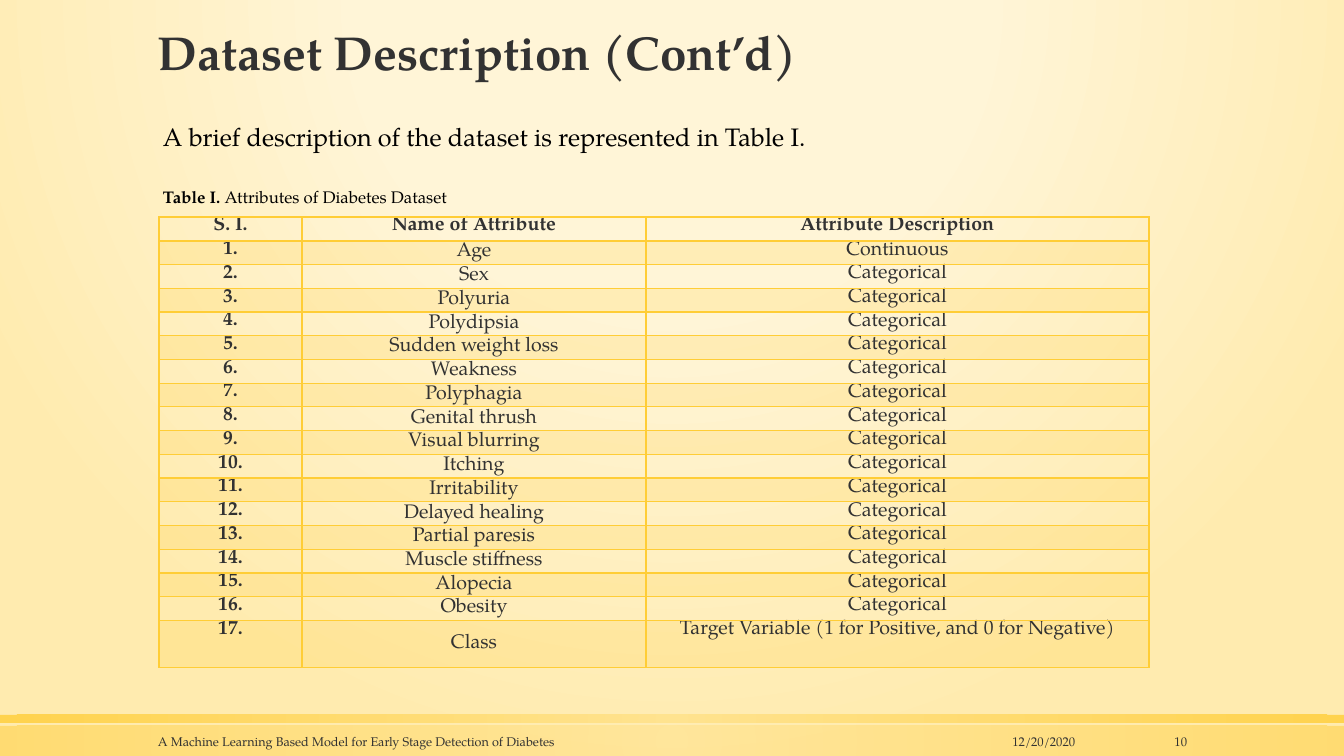
from collections import namedtuple
from dataclasses import dataclass

from pptx import Presentation
from pptx import util as u
from pptx.dml import color
from pptx.enum import shapes, text
from pptx.oxml import ns, parse_xml

Box = namedtuple("Box", "left top width height")


@dataclass(frozen=True)
class Theme:
    """Colours, font and type sizes of the slide."""
    font: str = "TeX Gyre Pagella"
    ink: str = "323232"
    black: str = "000000"
    gold: str = "FFCD36"
    pale_gold: str = "FFE186"
    cream: str = "FFF5D7"
    sand: str = "FFEBAF"
    title_size: int = 34
    body_size: int = 18
    table_size: int = 14
    caption_size: int = 12
    footer_size: int = 9


THEME = Theme()
ALIGN = text.PP_ALIGN
ANCHOR = text.MSO_ANCHOR
ATTRIBUTES = [
    "Age", "Sex", "Polyuria", "Polydipsia", "Sudden weight loss", "Weakness",
    "Polyphagia", "Genital thrush", "Visual blurring", "Itching",
    "Irritability", "Delayed healing", "Partial paresis", "Muscle stiffness",
    "Alopecia", "Obesity", "Class",
]
DESCRIPTIONS = (["Continuous"] + ["Categorical"] * 15
                + ["Target Variable (1 for Positive, and 0 for Negative)"])


def px(length):
    """Turn pixels into EMU."""
    return u.Emu(round(length * 914400 / 100.8))


def emu(box):
    """Turn a box in pixels into four EMU lengths."""
    return [px(length) for length in box]


def paint_gradient(owner, fill, stops, focus):
    """Give a fill a circular gradient of (place, colour, opacity) stops."""
    fill.gradient()
    gradient = owner.element.find(".//" + ns.qn("a:gradFill"))
    stop_xml = "".join(
        f'<a:gs pos="{place * 1000}"><a:srgbClr val="{tint}">'
        f'<a:alpha val="{opacity * 1000}"/></a:srgbClr></a:gs>'
        for place, tint, opacity in stops)
    sides = " ".join(f'{side}="{value * 1000}"' for side, value in zip("ltrb", focus))
    gradient.getparent().replace(gradient, parse_xml(
        f'<a:gradFill {ns.nsdecls("a")} rotWithShape="1"><a:gsLst>{stop_xml}</a:gsLst>'
        f'<a:path path="circle"><a:fillToRect {sides}/></a:path></a:gradFill>'))


def add_run(paragraph, words, size, tint=THEME.ink, bold=False):
    """Add one styled run."""
    run = paragraph.add_run()
    run.text = words
    run.font.name = THEME.font
    run.font.size = u.Pt(size)
    run.font.bold = bold
    run.font.color.rgb = color.RGBColor.from_string(tint)


def add_text_frame(slide, box, anchor):
    """Add a wrapping text box and return its frame."""
    frame = slide.shapes.add_textbox(*emu(box)).text_frame
    frame.word_wrap = True
    frame.vertical_anchor = anchor
    return frame


def add_background(slide):
    """Paint the glow behind the whole slide."""
    paint_gradient(slide, slide.background.fill,
                   [(0, THEME.cream, 59), (40, THEME.cream, 66), (100, THEME.sand, 100)],
                   (50, -80, 50, 180))


def add_title(slide, box):
    """Add the slide title."""
    paragraph = add_text_frame(slide, box, ANCHOR.BOTTOM).paragraphs[0]
    paragraph.line_spacing = 0.9
    add_run(paragraph, "Dataset Description (Cont’d)", THEME.title_size, bold=True)


def add_body(slide, box):
    """Add the introduction and the table caption."""
    frame = add_text_frame(slide, box, ANCHOR.TOP)
    introduction, caption = frame.paragraphs[0], frame.add_paragraph()
    for paragraph in (introduction, caption):
        paragraph.alignment = ALIGN.JUSTIFY
        paragraph.line_spacing = 1.5
        paragraph.space_before = u.Pt(18)
        properties = paragraph._p.get_or_add_pPr()
        properties.set("marL", str(px(5)))
        properties.set("indent", "0")
    add_run(introduction, "A brief description of the dataset is represented in Table I.",
            THEME.body_size, THEME.black)
    add_run(caption, "Table I. ", THEME.caption_size, THEME.black, bold=True)
    add_run(caption, "Attributes of Diabetes Dataset", THEME.caption_size, THEME.black)


def style_cell(cell, row, column):
    """Set the borders, band, insets and anchor of one table cell."""
    properties = cell._tc.get_or_add_tcPr()
    for side in "LRTB":
        header_rule = (row, side) in ((0, "B"), (1, "T"))
        properties.append(parse_xml(
            f'<a:ln{side} {ns.nsdecls("a")} w="{u.Pt(2 if header_rule else 1)}"><a:solidFill>'
            f'<a:srgbClr val="{THEME.gold}"/></a:solidFill></a:ln{side}>'))
    if row % 2:
        cell.fill.solid()
        cell.fill.fore_color.rgb = color.RGBColor.from_string(THEME.gold)
        tint = properties.find(ns.qn("a:solidFill"))[0]
        tint.append(parse_xml(f'<a:alpha {ns.nsdecls("a")} val="20000"/>'))
    else:
        cell.fill.background()
    cell.margin_left = cell.margin_right = px(7)
    cell.margin_top = cell.margin_bottom = 0
    cell.vertical_anchor = ANCHOR.MIDDLE if row and column == 1 else ANCHOR.TOP


def add_attribute_table(slide, box):
    """Add the numbered attributes; the last row is twice as high."""
    rows = [("S. I.", "Name of Attribute", "Attribute Description")]
    rows += [(f"{number}.", *pair)
             for number, pair in enumerate(zip(ATTRIBUTES, DESCRIPTIONS), 1)]
    table = slide.shapes.add_table(len(rows), 3, *emu(box)).table
    table.first_row = table.horz_banding = False
    for column, width in zip(table.columns, (143, 344, box.width - 143 - 344)):
        column.width = px(width)
    unit = box.height / (len(rows) + 1)
    for row, words in enumerate(rows):
        table.rows[row].height = px(unit * (2 if row == len(rows) - 1 else 1))
        for column, entry in enumerate(words):
            cell = table.cell(row, column)
            style_cell(cell, row, column)
            paragraph = cell.text_frame.paragraphs[0]
            paragraph.alignment = ALIGN.CENTER
            if cell.vertical_anchor == ANCHOR.TOP:
                paragraph.line_spacing = 0.9
            add_run(paragraph, entry, THEME.table_size, bold=row == 0 or column == 0)


def add_footer_bands(slide, box):
    """Add the wide band and the thin stripe above it."""
    stripe_height, band_height = 8, 30
    band_top = box.top + box.height - band_height
    for top, height, opacity in ((band_top, band_height, 50), (box.top, stripe_height, 80)):
        band = slide.shapes.add_shape(shapes.MSO_SHAPE.RECTANGLE,
                                      *emu(Box(box.left, top, box.width, height)))
        band.shadow.inherit = False
        band.line.fill.background()
        paint_gradient(band, band.fill,
                       [(0, THEME.pale_gold, opacity), (100, THEME.gold, opacity)], (50,) * 4)


def add_footer_text(slide, box):
    """Add the date, the talk's name and the slide number."""
    for offset, width, words, alignment in (
            (831, 106, "12/20/2020", ALIGN.RIGHT),
            (0, 789, "A Machine Learning Based Model for Early Stage Detection of Diabetes",
             ALIGN.LEFT),
            (978, 71, "10", ALIGN.RIGHT)):
        place = Box(box.left + offset, box.top, width, box.height)
        paragraph = add_text_frame(slide, place, ANCHOR.MIDDLE).paragraphs[0]
        paragraph.alignment = alignment
        add_run(paragraph, words, THEME.footer_size)


def main():
    """Build and save the presentation."""
    presentation = Presentation()
    presentation.slide_width, presentation.slide_height = px(1344), px(756)
    slide = presentation.slides.add_slide(presentation.slide_layouts[6])
    add_background(slide)
    add_footer_bands(slide, Box(0, 715, 1344, 41))
    add_title(slide, Box(148, 19, 1049, 67))
    add_body(slide, Box(148, 101, 1049, 588))
    add_footer_text(slide, Box(148, 728, 1049, 26))
    add_attribute_table(slide, Box(159, 217, 990, 451))
    presentation.save("out.pptx")


main()
